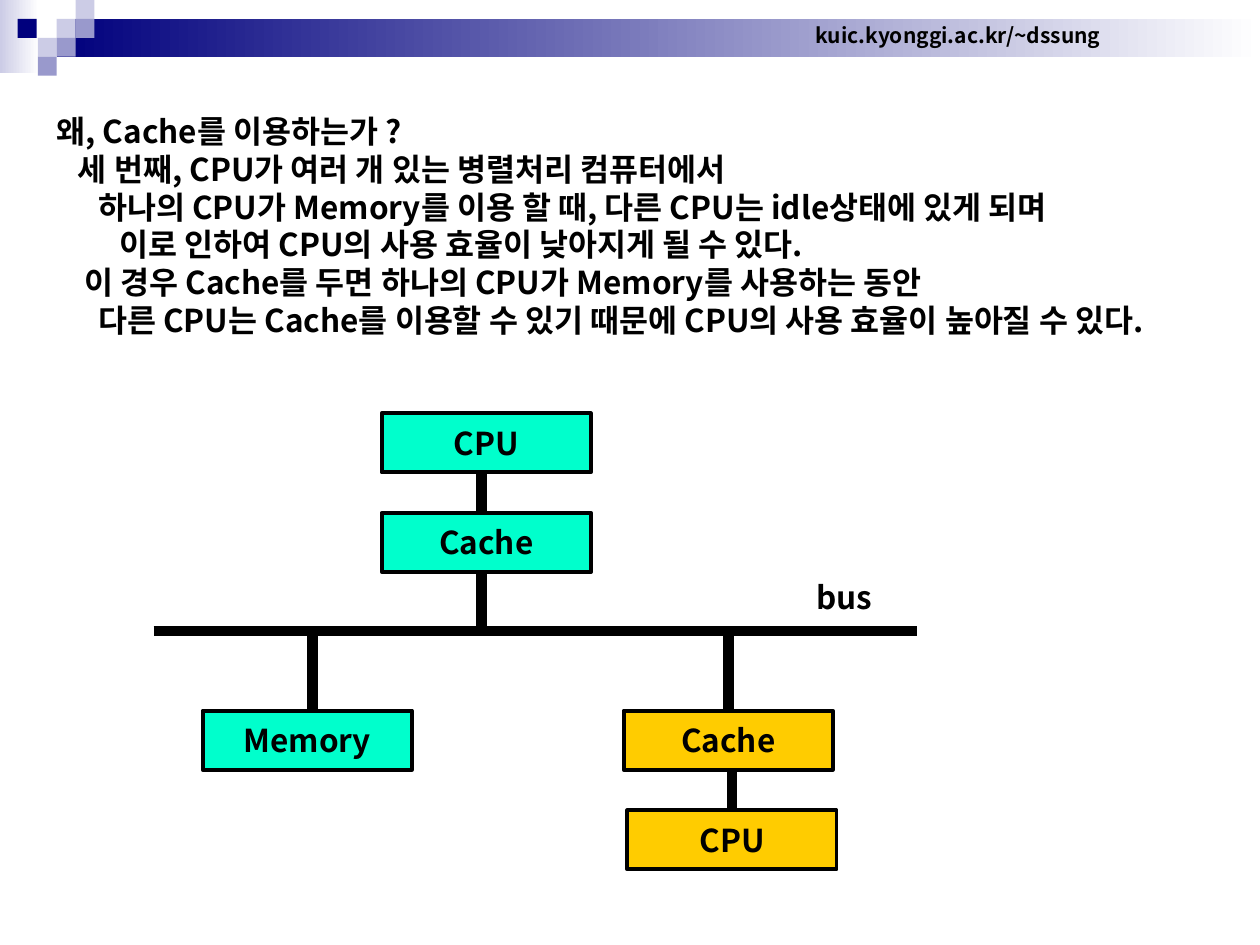
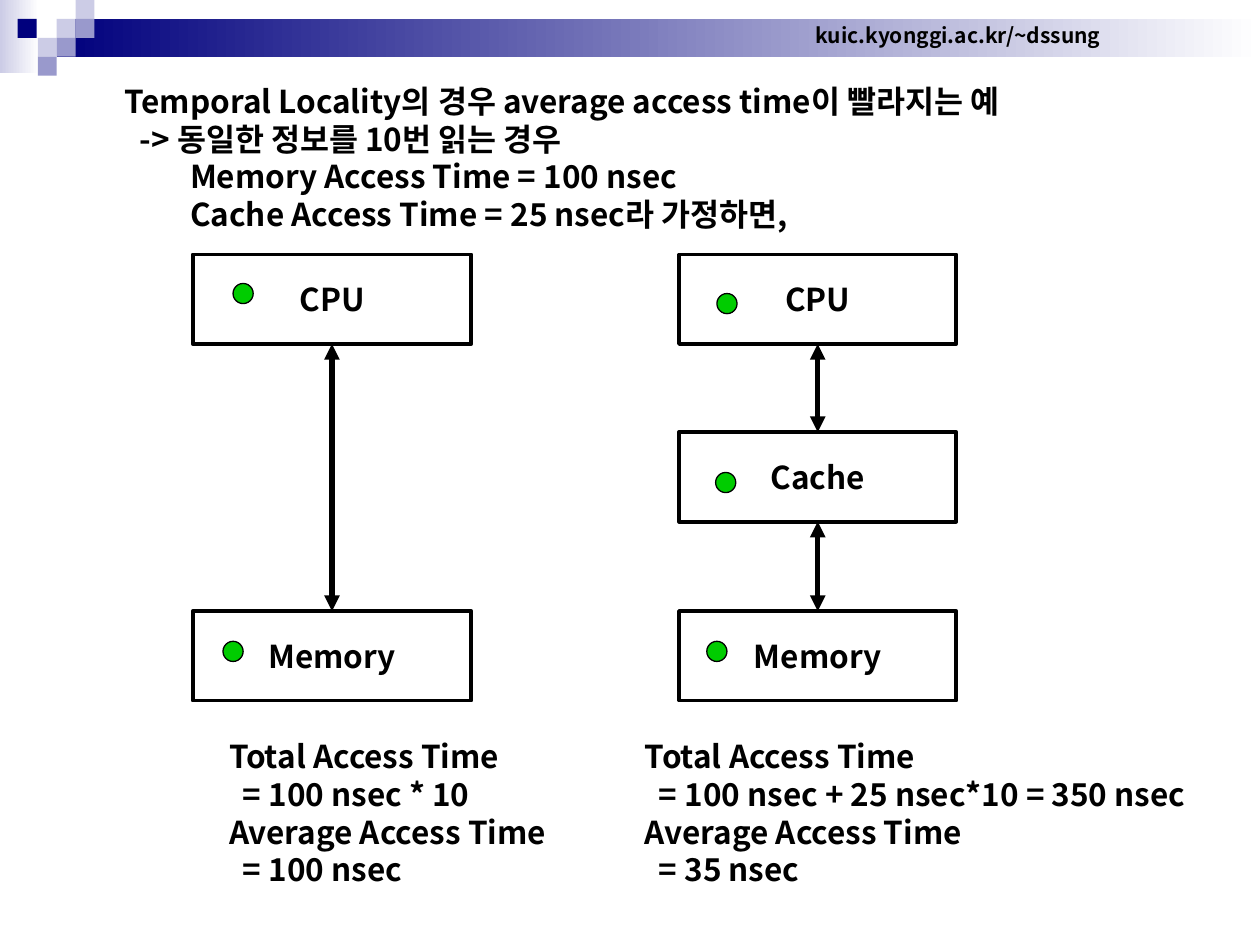
from dataclasses import dataclass

from lxml.etree import SubElement
from pptx import Presentation
from pptx.dml.color import RGBColor
from pptx.enum.shapes import MSO_CONNECTOR, MSO_SHAPE
from pptx.enum.text import MSO_ANCHOR, MSO_AUTO_SIZE, PP_ALIGN
from pptx.oxml.ns import qn
from pptx.shapes.autoshape import Shape
from pptx.shapes.connector import Connector
from pptx.slide import Slide
from pptx.util import Inches, Pt

FONT = "Noto Sans CJK KR"
COLORS = {
    "black": "000000",
    "white": "FFFFFF",
    "navy": "00007D",
    "violet": "9999CC",
    "lavender": "CCCCE6",
    "mint": "00FFCC",
    "amber": "FFCC00",
    "green": "00CC00",
}
TOP, BOTTOM = 0, 2
TILE = 0.15


@dataclass(frozen=True)
class Area:
    left: float
    top: float
    width: float
    height: float

    def lengths(self) -> list[int]:
        return [Inches(v) for v in (self.left, self.top, self.width, self.height)]


@dataclass(frozen=True)
class Unit:
    """A labelled block of the computer: CPU, cache or memory."""
    label: str
    area: Area
    color: str = "white"


@dataclass(frozen=True)
class Line:
    text: str
    indent: float = 0


HEADER_FADES = [
    (Area(0, 0, 0.31, 0.58), "lavender"),
    (Area(0.45, 0.15, 9.55, 0.3), "navy"),
]
HEADER_TILES = [
    (0.45, 0.15, "lavender"),
    (0.6, 0, "lavender"),
    (0.6, 0.15, "violet"),
    (0.3, 0.3, "lavender"),
    (0.14, 0.15, "navy"),
    (0.45, 0.3, "violet"),
    (0.3, 0.45, "violet"),
]


def rgb(color: str) -> RGBColor:
    return RGBColor.from_string(COLORS[color])


def write(shape: Shape, lines: list[Line], *, size: float = 18,
          align: PP_ALIGN = PP_ALIGN.LEFT,
          anchor: MSO_ANCHOR = MSO_ANCHOR.TOP, grow: bool = False) -> None:
    frame = shape.text_frame
    frame.word_wrap = False
    frame.vertical_anchor = anchor
    frame.auto_size = MSO_AUTO_SIZE.SHAPE_TO_FIT_TEXT if grow else MSO_AUTO_SIZE.NONE
    for number, line in enumerate(lines):
        paragraph = frame.add_paragraph() if number else frame.paragraphs[0]
        paragraph.alignment = align
        if line.indent:
            properties = paragraph._p.get_or_add_pPr()
            properties.set("marL", str(Inches(line.indent)))
            properties.set("indent", "0")
        run = paragraph.add_run()
        run.text = line.text
        run.font.name = FONT
        run.font.size = Pt(size)
        run.font.bold = True
        run.font.color.rgb = rgb("black")
        SubElement(run.font._element, qn("a:ea")).set("typeface", FONT)


def add_text(slide: Slide, area: Area, lines: list[Line], **text_format) -> None:
    write(slide.shapes.add_textbox(*area.lengths()), lines, grow=True, **text_format)


def add_filled(slide: Slide, area: Area, color: str, *, outline: float = 0,
               preset: MSO_SHAPE = MSO_SHAPE.RECTANGLE) -> Shape:
    shape = slide.shapes.add_shape(preset, *area.lengths())
    shape.shadow.inherit = False
    shape.fill.solid()
    shape.fill.fore_color.rgb = rgb(color)
    if outline:
        shape.line.color.rgb = rgb("black")
        shape.line.width = Pt(outline)
    else:
        shape.line.fill.background()
    return shape


def add_fade(slide: Slide, area: Area, color: str) -> None:
    """Add a band running from the colour at the left to white at the right."""
    fill = add_filled(slide, area, color).fill
    fill.gradient()
    fill.gradient_angle = 180
    for stop, position, name in zip(fill.gradient_stops, (0, 1), ("white", color)):
        stop.position = position
        stop.color.rgb = rgb(name)


def add_unit(slide: Slide, unit: Unit) -> Shape:
    shape = add_filled(slide, unit.area, unit.color, outline=2.25)
    write(shape, [Line(unit.label)], align=PP_ALIGN.CENTER, anchor=MSO_ANCHOR.MIDDLE)
    return shape


def add_line(slide: Slide, start: tuple[float, float], end: tuple[float, float],
             weight: float = 6) -> Connector:
    line = slide.shapes.add_connector(
        MSO_CONNECTOR.STRAIGHT, *(Inches(v) for v in (*start, *end)))
    line.line.color.rgb = rgb("black")
    line.line.width = Pt(weight)
    SubElement(line._element.spPr, qn("a:effectLst"))
    return line


def add_transfer(slide: Slide, upper: Shape, lower: Shape) -> None:
    """Join two units, one above the other, with a two-way arrow."""
    arrow = add_line(slide, (0, 0), (0, 0), weight=3)
    arrow.begin_connect(upper, BOTTOM)
    arrow.end_connect(lower, TOP)
    outline = arrow.line._get_or_add_ln()
    for end in ("a:headEnd", "a:tailEnd"):
        SubElement(outline, qn(end)).set("type", "triangle")


def add_header(slide: Slide) -> None:
    for area, color in HEADER_FADES:
        add_fade(slide, area, color)
    for left, top, color in HEADER_TILES:
        add_filled(slide, Area(left, top, TILE, TILE), color)
    add_text(slide, Area(6.37, 0.13, 2.47, 0.3), [Line("kuic.kyonggi.ac.kr/~dssung")],
             size=12, align=PP_ALIGN.CENTER, anchor=MSO_ANCHOR.MIDDLE)


def build_parallel_slide(slide: Slide) -> None:
    add_text(slide, Area(0.35, 0.84, 9.29, 1.9), [
        Line("왜, Cache를 이용하는가 ?"),
        Line("세 번째, CPU가 여러 개 있는 병렬처리 컴퓨터에서", 0.17),
        Line("하나의 CPU가 Memory를 이용 할 때, 다른 CPU는 idle상태에 있게 되며", 0.33),
        Line("이로 인하여 CPU의 사용 효율이 낮아지게 될 수 있다.", 0.5),
        Line("이 경우 Cache를 두면 하나의 CPU가 Memory를 사용하는 동안", 0.22),
        Line("다른 CPU는 Cache를 이용할 수 있기 때문에 CPU의 사용 효율이 높아질 수 있다.", 0.33),
    ])
    width, height = 1.66, 0.47
    units = [
        Unit("CPU", Area(3.03, 3.28, width, height), "mint"),
        Unit("Cache", Area(3.03, 4.07, width, height), "mint"),
        Unit("Memory", Area(1.61, 5.64, width, height), "mint"),
        Unit("Cache", Area(4.95, 5.64, width, height), "amber"),
        Unit("CPU", Area(4.98, 6.43, width, height), "amber"),
    ]
    *_, second_cache, second_cpu = [add_unit(slide, unit) for unit in units]

    bus_y = 5.01
    add_line(slide, (1.22, bus_y), (7.28, bus_y))
    add_line(slide, (2.48, bus_y), (2.48, 5.64))
    add_line(slide, (3.82, 4.54), (3.82, bus_y))
    add_line(slide, (3.82, 3.75), (3.82, 4.07))
    add_line(slide, (5.78, bus_y), (5.78, 5.64)).end_connect(second_cache, TOP)
    add_line(slide, (5.81, 6.11), (5.81, 6.43)).end_connect(second_cpu, TOP)
    add_text(slide, Area(6.38, 4.54, 0.75, 0.4), [Line("bus")])


def build_locality_slide(slide: Slide) -> None:
    add_text(slide, Area(0.89, 0.6, 7.48, 1.3), [
        Line("Temporal Locality의 경우 average access time이 빨라지는 예"),
        Line("-> 동일한 정보를 10번 읽는 경우", 0.12),
        Line("Memory Access Time = 100 nsec", 0.52),
        Line("Cache Access Time = 25 nsec라 가정하면,", 0.52),
    ])
    unit_tops = {"CPU": 2.02, "Cache": 3.43, "Memory": 4.85}
    columns = [
        (1.53, 2.21, ["CPU", "Memory"]),
        (5.39, 2.2, ["CPU", "Cache", "Memory"]),
    ]
    for left, width, labels in columns:
        stack = [add_unit(slide, Unit(label, Area(left, unit_tops[label], width, 0.71)))
                 for label in labels]
        for upper, lower in zip(stack, stack[1:]):
            add_transfer(slide, upper, lower)

    data_items = [(1.85, 2.25), (1.77, 5.09), (5.69, 2.33), (5.68, 3.75), (5.61, 5.09)]
    for left, top in data_items:
        add_filled(slide, Area(left, top, 0.16, 0.16), "green",
                   outline=0.75, preset=MSO_SHAPE.OVAL)

    results = [
        (Area(1.72, 5.8, 2.77, 1.3), "= 100 nsec * 10", "= 100 nsec"),
        (Area(5.02, 5.8, 4.62, 1.3), "= 100 nsec + 25 nsec*10 = 350 nsec", "= 35 nsec"),
    ]
    for area, total, average in results:
        add_text(slide, area, [
            Line("Total Access Time"), Line(total, 0.11),
            Line("Average Access Time"), Line(average, 0.11),
        ])


def main() -> None:
    deck = Presentation()
    deck.slide_width, deck.slide_height = Inches(10), Inches(7.5)
    blank = deck.slide_layouts[6]
    for build in (build_parallel_slide, build_locality_slide):
        slide = deck.slides.add_slide(blank)
        add_header(slide)
        build(slide)
    deck.save("out.pptx")


if __name__ == "__main__":
    main()
